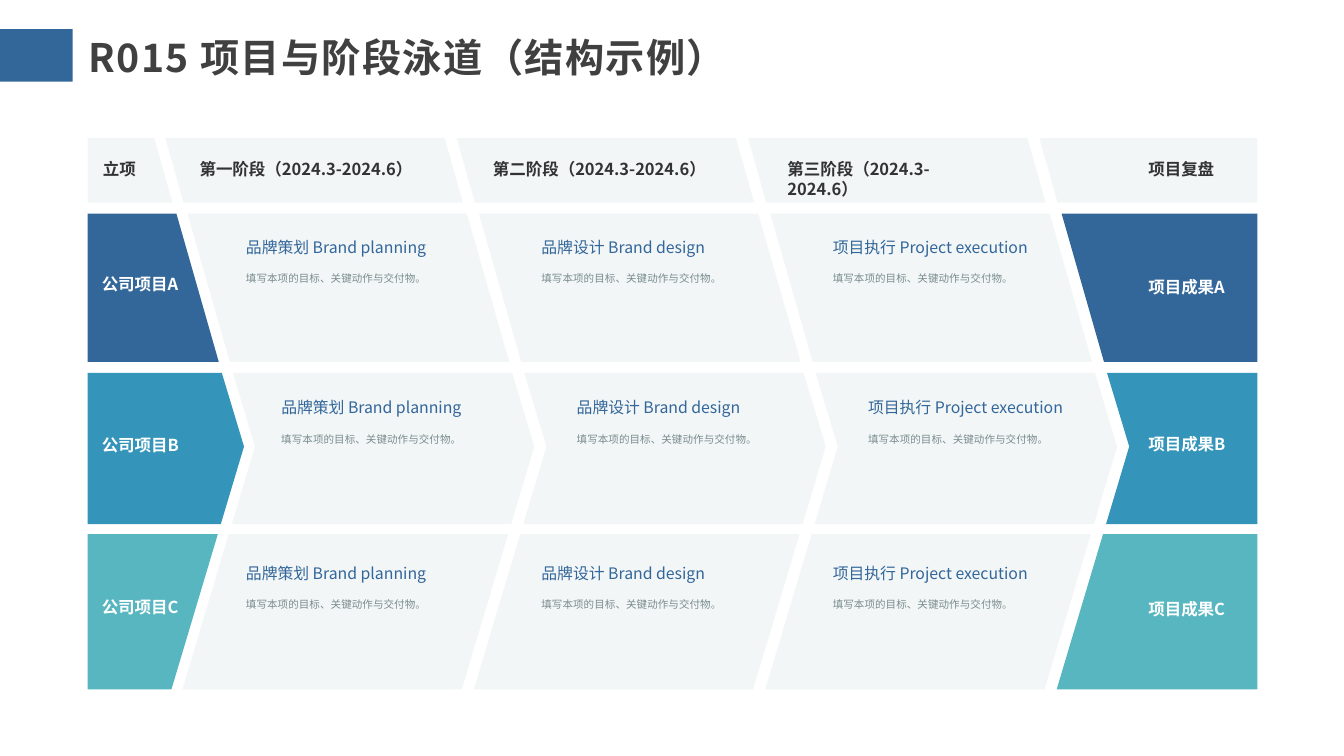
from pptx import Presentation
from pptx.dml.color import RGBColor
from pptx.enum.shapes import MSO_SHAPE as Preset
from pptx.enum.text import MSO_ANCHOR as Anchor
from pptx.oxml.ns import qn
from pptx.util import Inches, Pt

FONT = "Noto Sans CJK SC"
PALE, BLUE = "F2F6F7", "336699"
LEFT, RIGHT = 0.87, 12.47
PHASE_STEP, PHASE_WIDTH, GAP = 2.89, 2.77, 0.11

# Text formats
TITLE = {"size": Pt(28), "bold": True, "color": "404040"}
HEADING = {"size": Pt(11.8), "bold": True, "color": "333333"}
LABEL = {**HEADING, "color": "FFFFFF"}
ITEM = {"size": Pt(11.3), "bold": False, "color": BLUE}
DETAIL = {"size": Pt(7.5), "bold": False, "color": "7A8C8E"}


def rgb(value):
    return RGBColor.from_string(value)


class SwimlaneSlide:
    def __init__(self, presentation):
        self.slide = presentation.slides.add_slide(presentation.slide_layouts[6])
        self.shapes = self.slide.shapes

    def paint(self, shape, color):
        shape.shadow.inherit = False
        shape.fill.solid()
        shape.fill.fore_color.rgb = rgb(color)
        shape.line.fill.background()

    def rectangle(self, left, top, width, height, color):
        box = map(Inches, (left, top, width, height))
        self.paint(self.shapes.add_shape(Preset.RECTANGLE, *box), color)

    def polygon(self, points, color):
        corners = [(Inches(x), Inches(y)) for x, y in points]
        builder = self.shapes.build_freeform(*corners[0], scale=1.0)
        builder.add_line_segments(corners[1:], close=True)
        self.paint(builder.convert_to_shape(), color)

    def text(self, words, left, top, width, height, style, inset=0.03,
             anchor=Anchor.TOP, line_spacing=None, tracking=None):
        box = map(Inches, (left, top, width, height))
        frame = self.shapes.add_textbox(*box).text_frame
        frame_format = {"word_wrap": True, "vertical_anchor": anchor}
        for side in ("left", "right", "top", "bottom"):
            frame_format[f"margin_{side}"] = Inches(inset)
        for name, value in frame_format.items():
            setattr(frame, name, value)
        paragraph = frame.paragraphs[0]
        paragraph.line_spacing = line_spacing
        run = paragraph.add_run()
        run.text = words
        run.font.color.rgb = rgb(style["color"])
        for name in ("size", "bold"):
            setattr(run.font, name, style[name])
        run.font.name = FONT
        properties = run.font._element
        east_asian = properties.makeelement(qn("a:ea"), {"typeface": FONT})
        properties.find(qn("a:latin")).addnext(east_asian)
        if tracking:
            properties.set("spc", str(tracking))

    def lane(self, edge, end_color):
        """Draw a row of cells from the left edge of its first phase."""
        top, bottom = edge[0][1], edge[-1][1]

        def shifted(distance):
            return [(x + distance, y) for x, y in edge]

        self.polygon([(LEFT, bottom), (LEFT, top)] + shifted(-GAP), end_color)
        for phase in range(3):
            start = phase * PHASE_STEP
            right_side = shifted(start + PHASE_WIDTH)
            self.polygon(shifted(start) + right_side[::-1], PALE)
        outcome = shifted(3 * PHASE_STEP)
        self.polygon(outcome + [(RIGHT, bottom), (RIGHT, top)], end_color)


def main():
    presentation = Presentation()
    presentation.slide_width = Inches(13.33)
    presentation.slide_height = Inches(7.5)
    board = SwimlaneSlide(presentation)

    # Title
    board.rectangle(0, 0.29, 0.72, 0.52, BLUE)
    board.text("R015 项目与阶段泳道（结构示例）", 0.78, 0.28, 10.28, 0.57, TITLE,
               inset=0.1, anchor=Anchor.MIDDLE, tracking=100)

    # Phase headings
    board.lane([(1.64, 1.37), (1.82, 2.01)], PALE)
    headings = [
        ("立项", 0.99, 0.42),
        ("第一阶段（2024.3-2024.6）", 1.95, 2.17),
        ("第二阶段（2024.3-2024.6）", 4.86, 2.27),
        ("第三阶段（2024.3-2024.6）", 7.78, 2.12),
        ("项目复盘", 11.36, 0.85),
    ]
    for words, left, width in headings:
        board.text(words, left, 1.55, width, 0.25, HEADING)

    # Project lanes: name, colour, edge, tops of label, outcome and item, indent
    lanes = [
        ("A", BLUE, [(1.86, 2.12), (2.28, 3.59)], 2.69, 2.72, 2.33, 0),
        ("B", "3494BA", [(2.31, 3.7), (2.53, 4.43), (2.3, 5.2)],
         4.29, 4.28, 3.92, 0.35),
        ("C", "58B6C0", [(2.27, 5.3), (1.81, 6.84)], 5.89, 5.91, 5.56, 0),
    ]
    items = [
        ("品牌策划 Brand planning", 2.41),
        ("品牌设计 Brand design", 5.34),
        ("项目执行 Project execution", 8.23),
    ]
    for name, color, edge, label_top, outcome_top, item_top, indent in lanes:
        board.lane(edge, color)
        board.text(f"公司项目{name}", 0.98, label_top, 0.99, 0.25, LABEL)
        board.text(f"项目成果{name}", 11.36, outcome_top, 1.09, 0.25, LABEL)
        for words, left in items:
            board.text(words, left + indent, item_top, 2.38, 0.25, ITEM)
            board.text("填写本项的目标、关键动作与交付物。", left + indent,
                       item_top + 0.28, 2.2, 0.79, DETAIL, line_spacing=1.5)

    presentation.save("out.pptx")


if __name__ == "__main__":
    main()
